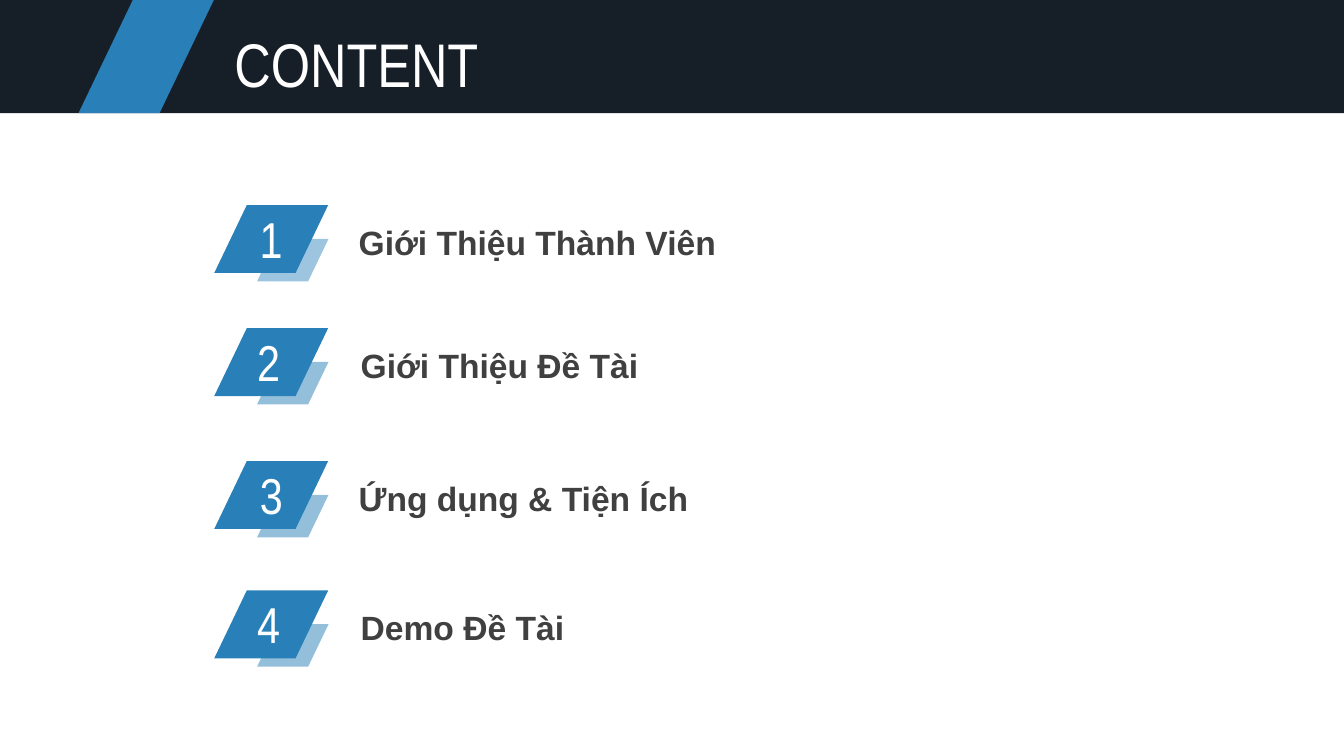
import pptx
import pptx.util
import pptx.dml.color
import pptx.enum.shapes
import pptx.enum.text
from lxml import etree
from pptx.oxml.ns import qn
from pptx.util import Cm

# Content: number, label, row top, number centre, label left (cm), shade opacity (%)
TITLE = "CONTENT"
ROWS = [
    ("1", "Giới Thiệu Thành Viên", 5.17, 6.83, 8.79, 45),
    ("2", "Giới Thiệu Đề Tài", 8.27, 6.77, 8.84, 50),
    ("3", "Ứng dụng & Tiện Ích", 11.62, 6.84, 8.79, 50),
    ("4", "Demo Đề Tài", 14.88, 6.77, 8.84, 50),
]

# Look and measures (cm)
BLUE, NAVY, GREY, WHITE = "2980B9", "161F28", "404040", "FFFFFF"
SLIDE_WIDTH, SLIDE_HEIGHT = 33.87, 19.05
HEADER_HEIGHT = 2.85
SLANT = 0.48  # sideways shift per unit of height
BADGE_LEFT, BADGE_WIDTH, BADGE_HEIGHT = 5.4, 2.87, 1.71
SHADE_SHIFT_X, SHADE_SHIFT_Y, SHADE_WIDTH, SHADE_HEIGHT = 1.08, 0.85, 1.8, 1.07
NUMBER_WIDTH, NUMBER_HEIGHT = 1.2, 1.8
LABEL_WIDTH, LABEL_HEIGHT = 9.6, 1.27


def color(value):
    return pptx.dml.color.RGBColor.from_string(value)


def paint(shape, fill, opacity=100):
    shape.shadow.inherit = False
    shape.fill.solid()
    shape.fill.fore_color.rgb = color(fill)
    shape.line.fill.background()
    if opacity < 100:
        fill_color = shape.fill._xPr.find(qn("a:solidFill"))[0]
        etree.SubElement(fill_color, qn("a:alpha"), val=str(opacity * 1000))


def add_slanted(shapes, left, top, width, height, opacity=100):
    shift = SLANT * height
    corners = [(left + shift, top), (left + width, top),
               (left + width - shift, top + height), (left, top + height)]
    points = [(Cm(x), Cm(y)) for x, y in corners]
    builder = shapes.build_freeform(*points[0])
    builder.add_line_segments(points[1:], close=True)
    paint(builder.convert_to_shape(), BLUE, opacity)


def add_text(shapes, text, left, top, width, height, font, size, fill,
             bold=False, centered=False):
    box = shapes.add_textbox(Cm(left), Cm(top), Cm(width), Cm(height))
    frame = box.text_frame
    frame.word_wrap = True
    frame.auto_size = pptx.enum.text.MSO_AUTO_SIZE.SHAPE_TO_FIT_TEXT
    paragraph = frame.paragraphs[0]
    paragraph.text = text
    if centered:
        paragraph.alignment = pptx.enum.text.PP_ALIGN.CENTER
    paragraph.font.name = font
    paragraph.font.size = pptx.util.Pt(size)
    paragraph.font.bold = bold
    paragraph.font.color.rgb = color(fill)


def main():
    presentation = pptx.Presentation()
    presentation.slide_width = Cm(SLIDE_WIDTH)
    presentation.slide_height = Cm(SLIDE_HEIGHT)
    slide = presentation.slides.add_slide(presentation.slide_layouts[6])

    # Header
    band = slide.shapes.add_shape(pptx.enum.shapes.MSO_SHAPE.RECTANGLE, 0, 0,
                                  Cm(SLIDE_WIDTH), Cm(HEADER_HEIGHT))
    paint(band, NAVY)
    add_slanted(slide.shapes, 1.98, 0, 3.41, HEADER_HEIGHT)
    add_text(slide.shapes, TITLE, 5.66, 0.53, 7.2, 2.13, "Arial Narrow", 44, WHITE)

    # Numbered rows
    for number, label, top, center, label_left, opacity in ROWS:
        shapes = slide.shapes.add_group_shape().shapes
        add_slanted(shapes, BADGE_LEFT, top, BADGE_WIDTH, BADGE_HEIGHT)
        add_slanted(shapes, BADGE_LEFT + SHADE_SHIFT_X, top + SHADE_SHIFT_Y,
                    SHADE_WIDTH, SHADE_HEIGHT, opacity)
        add_text(shapes, label, label_left, top + 0.29, LABEL_WIDTH, LABEL_HEIGHT,
                 "Arial", 24, GREY, bold=True)
        add_text(shapes, number, center - NUMBER_WIDTH / 2, top - 0.06,
                 NUMBER_WIDTH, NUMBER_HEIGHT, "Arial Narrow", 36, WHITE, centered=True)

    presentation.save("out.pptx")


if __name__ == "__main__":
    main()
